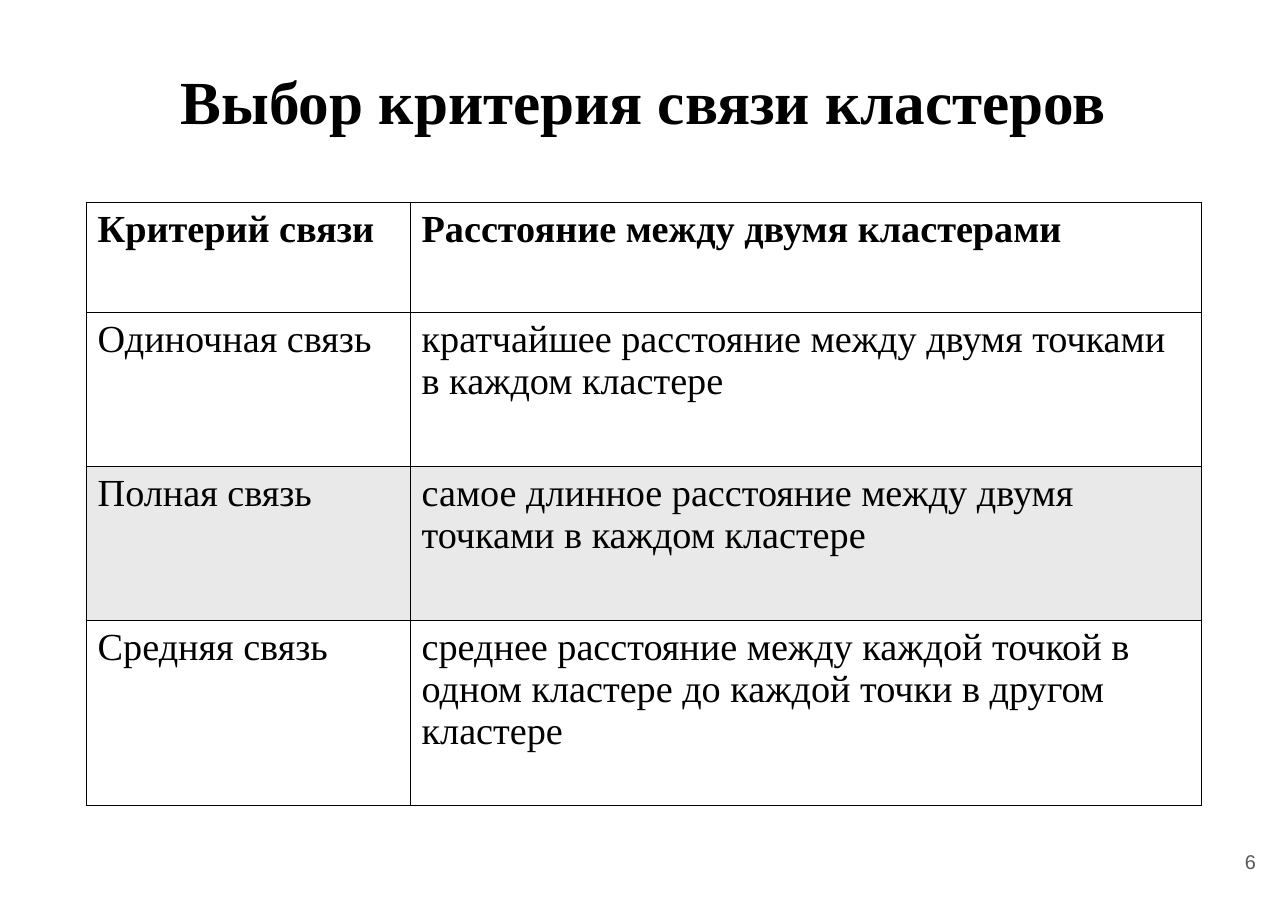
from lxml import etree
from pptx import Presentation
from pptx import util as u
from pptx.dml.color import RGBColor
from pptx.enum import text
from pptx.oxml.ns import qn

COLORS = {"ink": "000000", "paper": "FFFFFF", "highlight": "E9E9E9", "number": "595959"}
SERIF = "Times New Roman"


def style(paragraph, size, font_name, color, bold=False):
    paragraph.font.size = u.Pt(size)
    paragraph.font.name = font_name
    paragraph.font.bold = bold
    paragraph.font.color.rgb = RGBColor.from_string(COLORS[color])


def add_borders(cell):
    properties = cell._tc.get_or_add_tcPr()
    for position, side in enumerate(("a:lnL", "a:lnR", "a:lnT", "a:lnB")):
        line = etree.Element(qn(side), w=str(u.Pt(1)))
        fill = etree.SubElement(line, qn("a:solidFill"))
        etree.SubElement(fill, qn("a:srgbClr"), val=COLORS["ink"])
        properties.insert(position, line)


presentation = Presentation()
presentation.slide_width = u.Cm(29.7)
presentation.slide_height = u.Cm(21)
slide = presentation.slides.add_slide(presentation.slide_layouts[6])

number_box = slide.shapes.add_textbox(u.Cm(27.51), u.Cm(19.05), u.Cm(1.78), u.Cm(1.6))
frame = number_box.text_frame
frame.word_wrap = True
frame.vertical_anchor = text.MSO_ANCHOR.MIDDLE
frame.margin_left = frame.margin_right = frame.margin_top = frame.margin_bottom = u.Cm(0.33)
paragraph = frame.paragraphs[0]
paragraph.text = "6"
paragraph.alignment = text.PP_ALIGN.RIGHT
style(paragraph, 13, "Arial", "number")

title_box = slide.shapes.add_textbox(u.Cm(0.66), u.Cm(1.37), u.Cm(28.35), u.Cm(2.44))
frame = title_box.text_frame
frame.word_wrap = True
frame.margin_left = frame.margin_right = u.Cm(0.28)
frame.margin_top, frame.margin_bottom = u.Cm(0.25), u.Cm(0.15)
paragraph = frame.paragraphs[0]
paragraph.text = "Выбор критерия связи кластеров"
paragraph.alignment = text.PP_ALIGN.CENTER
paragraph.line_spacing = 0.93
style(paragraph, 40, SERIF, "ink", bold=True)

criteria = [
    ("Критерий связи", "Расстояние между двумя кластерами"),
    ("Одиночная связь", "кратчайшее расстояние между двумя точками в каждом кластере"),
    ("Полная связь", "самое длинное расстояние между двумя точками в каждом кластере"),
    ("Средняя связь", "среднее расстояние между каждой точкой в одном кластере до каждой точки в другом кластере"),
]
column_widths = [7.47, 18.24]
row_heights = [2.54, 3.55, 3.55, 4.26]
HEADER_ROW, HIGHLIGHT_ROW = 0, 2

table = slide.shapes.add_table(
    len(criteria), len(column_widths), u.Cm(2), u.Cm(4.67),
    u.Cm(sum(column_widths)), u.Cm(sum(row_heights)),
).table
for column, width in zip(table.columns, column_widths):
    column.width = u.Cm(width)
for row_index, (row, height, wording) in enumerate(zip(table.rows, row_heights, criteria)):
    row.height = u.Cm(height)
    background = "highlight" if row_index == HIGHLIGHT_ROW else "paper"
    for cell, words in zip(row.cells, wording):
        cell.fill.solid()
        cell.fill.fore_color.rgb = RGBColor.from_string(COLORS[background])
        add_borders(cell)
        paragraph = cell.text_frame.paragraphs[0]
        paragraph.text = words
        style(paragraph, 25, SERIF, "ink", bold=row_index == HEADER_ROW)

presentation.save("out.pptx")
